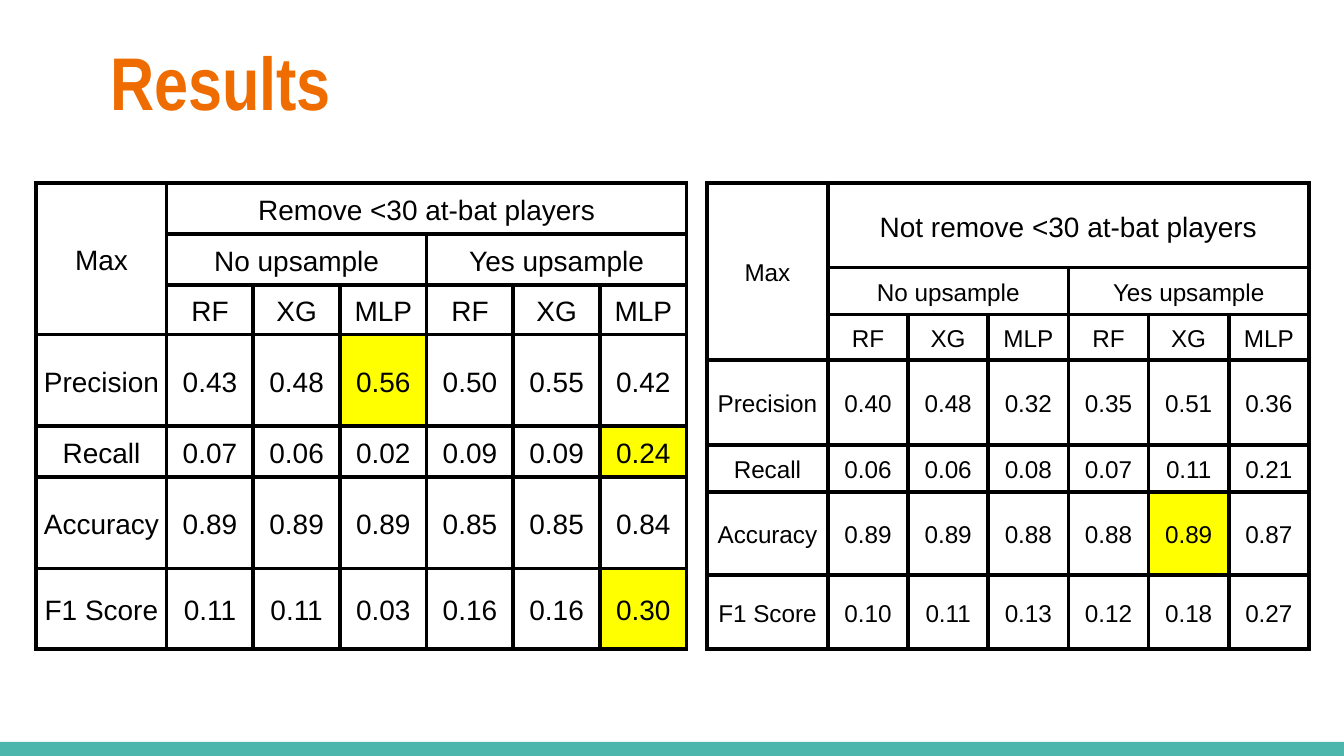
from lxml import etree
from pptx import Presentation
from pptx import util as u
from pptx.dml.color import RGBColor
from pptx.enum import shapes, text
from pptx.oxml import ns

BLACK, WHITE, YELLOW = "000000", "FFFFFF", "FFFF00"
ORANGE, TEAL = "EF6C00", "4DB6AC"

METRICS = ["Precision", "Recall", "Accuracy", "F1 Score"]
MODELS = ["RF", "XG", "MLP"]
REMOVED_SCORES = [
    ["0.43", "0.48", "0.56", "0.50", "0.55", "0.42"],
    ["0.07", "0.06", "0.02", "0.09", "0.09", "0.24"],
    ["0.89", "0.89", "0.89", "0.85", "0.85", "0.84"],
    ["0.11", "0.11", "0.03", "0.16", "0.16", "0.30"],
]
KEPT_SCORES = [
    ["0.40", "0.48", "0.32", "0.35", "0.51", "0.36"],
    ["0.06", "0.06", "0.08", "0.07", "0.11", "0.21"],
    ["0.89", "0.89", "0.88", "0.88", "0.89", "0.87"],
    ["0.10", "0.11", "0.13", "0.12", "0.18", "0.27"],
]


def color(hex_string):
    return RGBColor.from_string(hex_string)


class SlideBuilder:
    def __init__(self, slide):
        self.slide = slide
        self.table_font = "Arial"
        self.title_font = "Arial Narrow"
        self.border_width = u.Pt(2.25)

    def bar(self, left, top, width, height, fill):
        shape = self.slide.shapes.add_shape(
            shapes.MSO_SHAPE.RECTANGLE, *map(u.Inches, (left, top, width, height)))
        shape.shadow.inherit = False
        shape.fill.solid()
        shape.fill.fore_color.rgb = color(fill)
        shape.line.fill.background()

    def title(self, wording, left, top, width, height):
        box = self.slide.shapes.add_textbox(*map(u.Inches, (left, top, width, height)))
        frame = box.text_frame
        frame.word_wrap = True
        frame.margin_left = frame.margin_right = u.Inches(0.1)
        frame.margin_top = frame.margin_bottom = u.Inches(0.1)
        frame.text = wording
        self.format_runs(frame.paragraphs[0], self.title_font, 40, ORANGE, bold=True)

    def format_runs(self, paragraph, font, size, hex_string, bold=False):
        for run in paragraph.runs:
            run.font.name = font
            run.font.size = u.Pt(size)
            run.font.bold = bold
            run.font.color.rgb = color(hex_string)

    def cell_borders(self, cell):
        properties = cell._tc.get_or_add_tcPr()
        for side in ("a:lnL", "a:lnR", "a:lnT", "a:lnB"):
            line = etree.SubElement(properties, ns.qn(side), w=str(self.border_width))
            fill = etree.SubElement(line, ns.qn("a:solidFill"))
            etree.SubElement(fill, ns.qn("a:srgbClr"), val=BLACK)

    def cell(self, cell, wording, size, fill):
        cell.margin_left = cell.margin_right = u.Inches(0.03)
        cell.margin_top = cell.margin_bottom = u.Inches(0.02)
        cell.vertical_anchor = text.MSO_ANCHOR.MIDDLE
        self.cell_borders(cell)
        if fill:
            cell.fill.solid()
            cell.fill.fore_color.rgb = color(fill)
        else:
            cell.fill.background()
        cell.text_frame.text = wording
        paragraph = cell.text_frame.paragraphs[0]
        paragraph.alignment = text.PP_ALIGN.CENTER
        paragraph.line_spacing = 1.15
        self.format_runs(paragraph, self.table_font, size, BLACK)

    def score_table(self, left, heading, scores, best, label_width, scores_width,
                    row_heights, size):
        """Draw a score table; best holds the (metric, column) pairs to highlight."""
        rows = [
            ["Max", heading] + [""] * 5,
            ["", "No upsample", "", "", "Yes upsample", "", ""],
            [""] + MODELS * 2,
        ]
        rows += [[metric] + values for metric, values in zip(METRICS, scores)]
        widths = [label_width] + [scores_width / 6] * 6
        frame = self.slide.shapes.add_table(
            len(rows), len(widths), u.Inches(left), u.Inches(1.36),
            u.Inches(sum(widths)), u.Inches(sum(row_heights)))
        table = frame.table
        table.first_row = table.horz_banding = False
        for column, width in zip(table.columns, widths):
            column.width = u.Inches(width)
        for row, height in zip(table.rows, row_heights):
            row.height = u.Inches(height)

        fills = {(METRICS.index(metric) + 3, column): YELLOW for metric, column in best}
        fills[0, 0] = WHITE
        for i, row in enumerate(rows):
            for j, wording in enumerate(row):
                cell_size = 15 if wording == heading else size
                self.cell(table.cell(i, j), wording, cell_size, fills.get((i, j)))
        for first, last in [((0, 0), (2, 0)), ((0, 1), (0, 6)),
                            ((1, 1), (1, 3)), ((1, 4), (1, 6))]:
            table.cell(*first).merge(table.cell(*last))


def main():
    presentation = Presentation()
    presentation.slide_width = u.Inches(10)
    presentation.slide_height = presentation.slide_width * 9 // 16
    builder = SlideBuilder(presentation.slides.add_slide(presentation.slide_layouts[6]))

    builder.bar(0, 5.52, 10, 0.11, TEAL)
    builder.score_table(
        0.27, "Remove <30 at-bat players", REMOVED_SCORES,
        [("Precision", 3), ("Recall", 6), ("F1 Score", 6)],
        0.97, 3.87, [0.38, 0.38, 0.37, 0.68, 0.38, 0.68, 0.6], 15)
    builder.score_table(
        5.26, "Not remove <30 at-bat players", KEPT_SCORES, [("Accuracy", 5)],
        0.9, 3.58, [0.63, 0.35, 0.34, 0.63, 0.35, 0.62, 0.55], 13)
    builder.title("Results", 0.72, 0.17, 3.95, 0.88)

    presentation.save("out.pptx")


if __name__ == "__main__":
    main()
